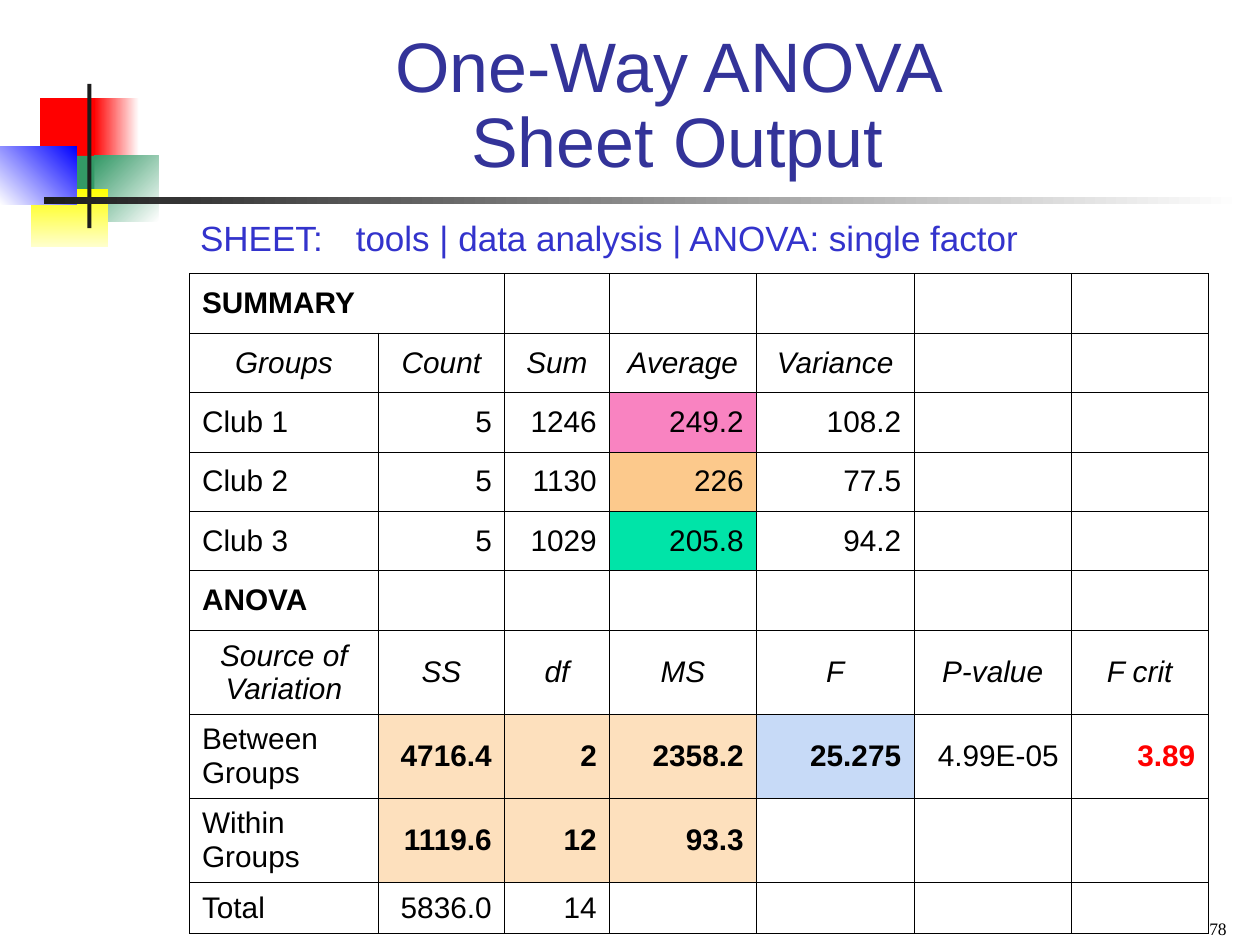
import pptx
import pptx.dml.color
import pptx.enum.shapes
import pptx.enum.text
import pptx.util
from lxml import etree

Pt = pptx.util.Pt
ALIGN = pptx.enum.text.PP_ALIGN
ANCHOR = pptx.enum.text.MSO_ANCHOR
DRAWING = "{http://schemas.openxmlformats.org/drawingml/2006/main}"

ORNAMENTS = [
    ((23, 56, 34.5, 37.5), ["FF0000"], 0),
    ((53.5, 56, 26, 37.5), ["FFFFFF", "FF0000"], 180),
    ((54, 89, 36.5, 37.5), ["FFFFFF", "339966"], 225),
    ((31, 89, 23, 37.5), ["339966"], 0),
    ((18, 108, 44, 33), ["FFFF00", "FFFFCC"], 90),
    ((0, 83.5, 44, 33.5), ["0000FF", "FFFFFF"], 135),
    ((50, 48, 2.2, 82.5), ["1C1C1C"], 0),
    ((25, 112.5, 685, 4), ["FFFFFF", "1C1C1C"], 180),
]
COLUMN_WIDTHS = [108, 72, 60, 84, 90, 90, 78]
ROW_HEIGHTS = [34] * 6 + [48] * 3 + [28]
ROWS = [
    ["SUMMARY"],
    ["Groups", "Count", "Sum", "Average", "Variance"],
    ["Club 1", "5", "1246", "249.2", "108.2"],
    ["Club 2", "5", "1130", "226", "77.5"],
    ["Club 3", "5", "1029", "205.8", "94.2"],
    ["ANOVA"],
    ["Source of Variation", "SS", "df", "MS", "F", "P-value", "F crit"],
    ["Between Groups", "4716.4", "2", "2358.2", "25.275", "4.99E-05", "3.89"],
    ["Within\nGroups", "1119.6", "12", "93.3"],
    ["Total", "5836.0", "14"],
]
SECTION_ROWS = (0, 5)
HEADING_ROWS = (1, 6)
F_CRITICAL = (7, 6)
CELL_FILLS = {(2, 3): "F983C1", (3, 3): "FCC98C", (4, 3): "00E4A8", (7, 4): "C7DAF7"}
CELL_FILLS.update({(row, column): "FDE0BD" for row in (7, 8) for column in (1, 2, 3)})
BOLD_CELLS = {*CELL_FILLS, F_CRITICAL} - {(2, 3), (3, 3), (4, 3)}


def rgb(value):
    return pptx.dml.color.RGBColor.from_string(value)


def set_attributes(target, values):
    for name, value in values.items():
        setattr(target, name, value)


def format_font(font, color, **values):
    set_attributes(font, values)
    font.color.rgb = rgb(color)


def add_ornament(group, place, colors, angle):
    block = group.shapes.add_shape(
        pptx.enum.shapes.MSO_SHAPE.RECTANGLE, *[Pt(length) for length in place])
    block.shadow.inherit = False
    block.line.fill.background()
    if len(colors) == 1:
        block.fill.solid()
        block.fill.fore_color.rgb = rgb(colors[0])
        return
    block.fill.gradient()
    block.fill.gradient_angle = (360 - angle) % 360
    for stop, color in zip(block.fill.gradient_stops, colors):
        stop.color.rgb = rgb(color)


def add_text(page, place, lines, color, frame_format, para_format, font_format, tab=None):
    box = page.shapes.add_textbox(*[Pt(length) for length in place])
    frame = box.text_frame
    set_attributes(frame, {"word_wrap": True, **frame_format})
    frame.text = "\n".join(lines)
    for para in frame.paragraphs:
        if tab:
            tabs = etree.SubElement(para._p.get_or_add_pPr(), DRAWING + "tabLst")
            etree.SubElement(tabs, DRAWING + "tab", pos=str(Pt(tab)), algn="l")
        set_attributes(para, para_format)
        for span in para.runs:
            format_font(span.font, color, **font_format)


def add_borders(cell):
    properties = cell._tc.get_or_add_tcPr()
    for side in ("lnL", "lnR", "lnT", "lnB"):
        line = etree.SubElement(properties, DRAWING + side, w=str(Pt(0.45)))
        fill = etree.SubElement(line, DRAWING + "solidFill")
        etree.SubElement(fill, DRAWING + "srgbClr", val="000000")


def fill_cell(cell, position, text):
    row, column = position
    add_borders(cell)
    if position in CELL_FILLS:
        cell.fill.solid()
        cell.fill.fore_color.rgb = rgb(CELL_FILLS[position])
    else:
        cell.fill.background()
    cell.vertical_anchor = ANCHOR.MIDDLE
    if not text:
        return
    cell.text = text
    heading = row in HEADING_ROWS
    for para in cell.text_frame.paragraphs:
        para.alignment = ALIGN.CENTER if heading else ALIGN.RIGHT if column else ALIGN.LEFT
        for span in para.runs:
            format_font(span.font, "FF0000" if position == F_CRITICAL else "000000",
                        name="Arial", size=Pt(17), italic=heading,
                        bold=row in SECTION_ROWS or position in BOLD_CELLS)


def add_anova_table(page):
    table = page.shapes.add_table(
        len(ROWS), len(COLUMN_WIDTHS), Pt(108.25), Pt(156.25),
        Pt(sum(COLUMN_WIDTHS)), Pt(sum(ROW_HEIGHTS))).table
    set_attributes(table, {"first_row": False, "horz_banding": False})
    for column, width in zip(table.columns, COLUMN_WIDTHS):
        column.width = Pt(width)
    for row, height in zip(table.rows, ROW_HEIGHTS):
        row.height = Pt(height)
    for row, texts in enumerate(ROWS):
        for column in range(len(COLUMN_WIDTHS)):
            text = texts[column] if column < len(texts) else ""
            fill_cell(table.cell(row, column), (row, column), text)
    table.cell(0, 0).merge(table.cell(0, 1))


def main():
    deck = pptx.Presentation()
    set_attributes(deck, {"slide_width": Pt(720), "slide_height": Pt(540)})
    page = deck.slides.add_slide(deck.slide_layouts[6])
    group = page.shapes.add_group_shape()
    for place, colors, angle in ORNAMENTS:
        add_ornament(group, place, colors, angle)
    add_anova_table(page)
    add_text(page, (84, 14.5, 606, 93.5), ["One-Way ANOVA ", "Sheet Output"], "333399", {},
             {"alignment": ALIGN.CENTER, "line_spacing": 0.9},
             {"name": "Arial", "size": Pt(40)})
    add_text(page, (107.25, 120.25, 484, 31.5),
             ["SHEET:\ttools | data analysis | ANOVA: single factor"], "3333CC",
             {"word_wrap": False}, {"alignment": ALIGN.LEFT},
             {"name": "Arial", "size": Pt(20)}, tab=89)
    add_text(page, (540, 515, 168, 25), ["78"], "000000",
             {"vertical_anchor": ANCHOR.BOTTOM}, {"alignment": ALIGN.RIGHT},
             {"name": "Times New Roman", "size": Pt(10)})
    deck.save("out.pptx")


if __name__ == "__main__":
    main()
